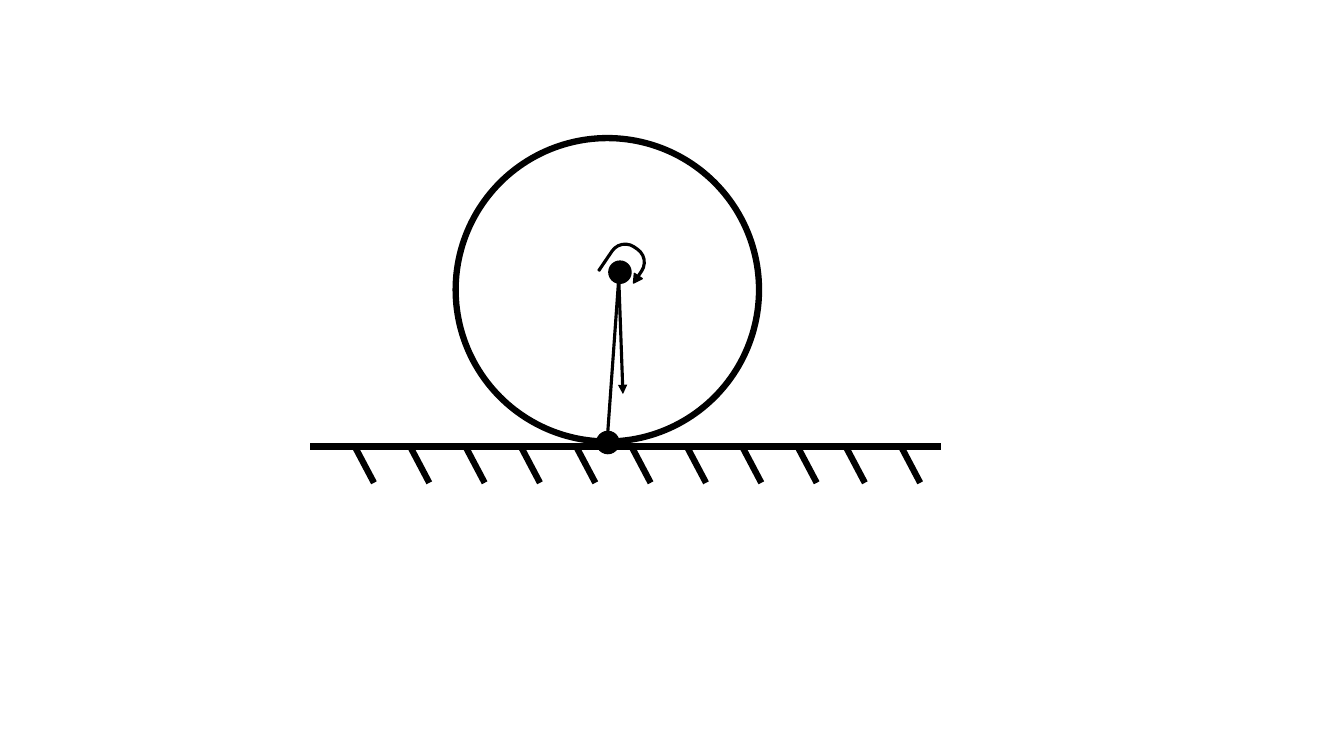
import pptx
import pptx.util
import pptx.dml.color
import pptx.enum.shapes
import pptx.oxml
import pptx.oxml.ns

COLORS = {"ink": "000000", "paper": "FFFFFF"}
SHAPE = pptx.enum.shapes.MSO_SHAPE

# Square grid: columns and rows of a tenth of an inch
CELL = pptx.util.Inches(0.1)
COLS, ROWS = 133.33, 75
GROUND_ROW = 44.3
HATCH_PITCH = 5.49
HATCH_RUNS = [(35.2, 9), (83.9, 2)]  # first column, number of strokes

# Line widths in points
THIN, ARROW, THICK = 1, 2.25, 4.5


def cells(n):
    return round(n * CELL)


def rgb(name):
    return pptx.dml.color.RGBColor.from_string(COLORS[name])


def style_line(line, width):
    line.color.rgb = rgb("ink")
    for key, value in {"width": pptx.util.Pt(width)}.items():
        setattr(line, key, value)


def add_preset(slide, kind, left, top, width, height, line, filled=True, **formats):
    sp = slide.shapes.add_shape(kind, *map(cells, (left, top, width, height)))
    sp.shadow.inherit = False
    if filled:
        sp.fill.solid()
        sp.fill.fore_color.rgb = rgb("ink")
    else:
        sp.fill.background()
    style_line(sp.line, line)
    for key, value in formats.items():
        setattr(sp, key, value)
    return sp


def add_dot(slide, left, top):
    return add_preset(slide, SHAPE.OVAL, left, top, 2.2, 2.2, THIN)


def add_line(slide, x1, y1, x2, y2, width, arrow=False):
    kind = pptx.enum.shapes.MSO_CONNECTOR.STRAIGHT
    cxn = slide.shapes.add_connector(kind, *map(cells, (x1, y1, x2, y2)))
    style_line(cxn.line, width)
    if arrow:
        ns = pptx.oxml.ns.nsdecls("a")
        tail = pptx.oxml.parse_xml(f'<a:tailEnd {ns} type="triangle"/>')
        cxn.line._get_or_add_ln().append(tail)
    effects = pptx.oxml.parse_xml(f'<a:effectLst {pptx.oxml.ns.nsdecls("a")}/>')
    cxn._element.spPr.append(effects)
    return cxn


def add_turn_arrow(slide):
    sp = add_preset(slide, SHAPE.U_TURN_ARROW, 60.1, 24.3, 4.1, 4, THIN, rotation=34.2)
    for i, value in enumerate((0.044, 0.117, 0.21, 0.413, 0.77)):
        sp.adjustments[i] = value


def add_hatching(slide):
    for first, count in HATCH_RUNS:
        for i in range(count):
            x = first + i * HATCH_PITCH
            add_line(slide, x, GROUND_ROW, x + 1.9, GROUND_ROW + 3.6, THICK)


def main():
    prs = pptx.Presentation()
    prs.slide_width, prs.slide_height = cells(COLS), cells(ROWS)
    slide = prs.slides.add_slide(prs.slide_layouts[6])
    slide.background.fill.solid()
    slide.background.fill.fore_color.rgb = rgb("paper")

    # Wheel on the ground
    add_preset(slide, SHAPE.OVAL, 45.2, 13.7, 30.1, 30.1, THICK, filled=False)
    add_line(slide, 30.8, GROUND_ROW, 93.4, GROUND_ROW, THICK)

    # Contact point, centre of mass and the line between them
    add_dot(slide, 59.2, 42.8)
    add_line(slide, 61.4, 27.4, 60.3, 42.8, ARROW)
    add_dot(slide, 60.4, 25.9)

    # Weight and rotation
    add_line(slide, 61.4, 28, 61.8, 39.1, ARROW, arrow=True)
    add_turn_arrow(slide)

    add_hatching(slide)
    prs.save("out.pptx")


if __name__ == "__main__":
    main()
